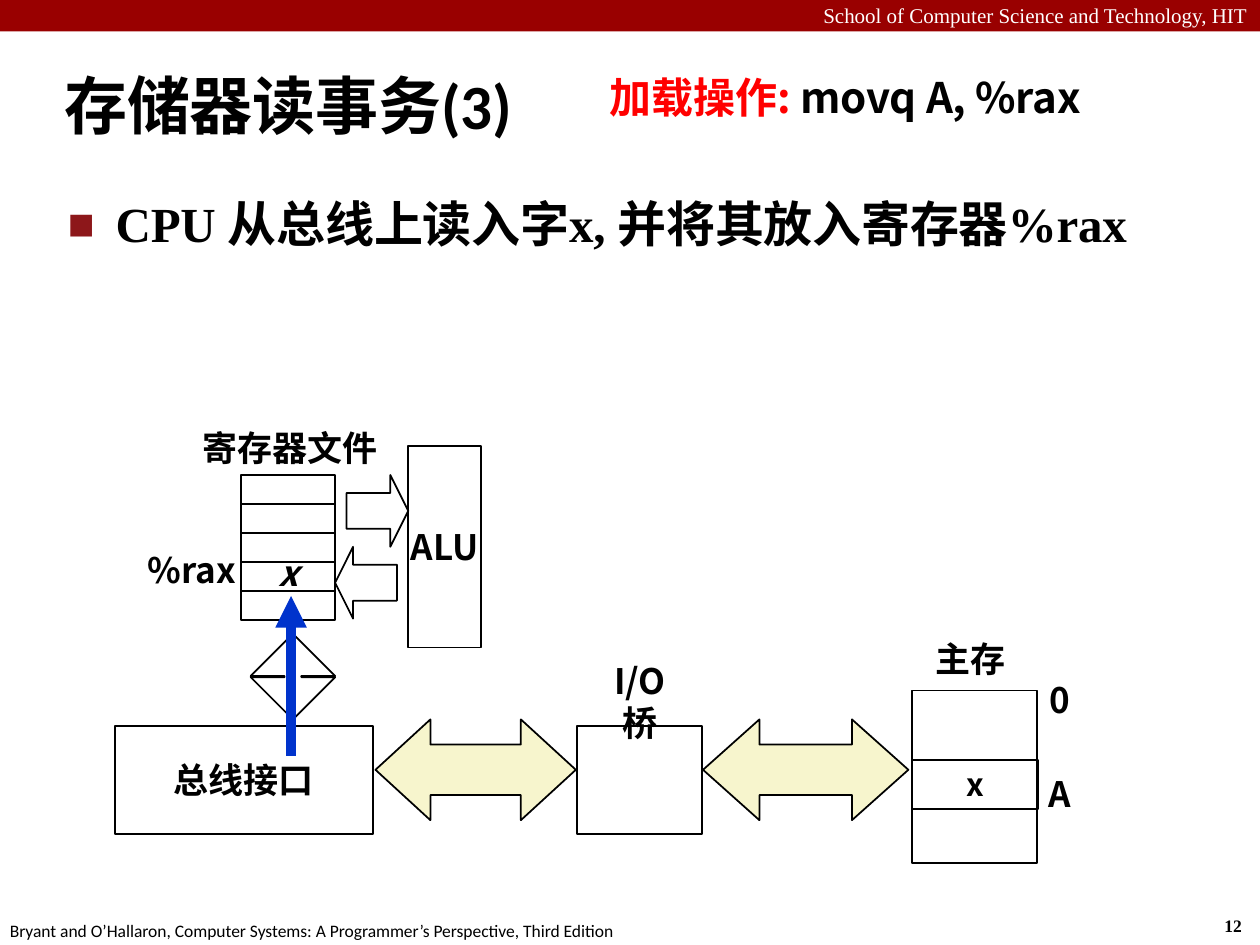
from dataclasses import dataclass

from lxml import etree
from pptx import Presentation
from pptx.dml.color import RGBColor
from pptx.enum.shapes import MSO_CONNECTOR, MSO_SHAPE
from pptx.enum.text import MSO_ANCHOR, MSO_AUTO_SIZE, PP_ALIGN
from pptx.oxml.ns import qn
from pptx.util import Inches, Pt

RECT = MSO_SHAPE.RECTANGLE
RIGHT_ARROW, LEFT_ARROW = MSO_SHAPE.RIGHT_ARROW, MSO_SHAPE.LEFT_ARROW
BUS_ARROW, UP_DOWN_ARROW = MSO_SHAPE.LEFT_RIGHT_ARROW, MSO_SHAPE.UP_DOWN_ARROW
LEFT, CENTER, RIGHT = PP_ALIGN.LEFT, PP_ALIGN.CENTER, PP_ALIGN.RIGHT
TOP, MIDDLE = MSO_ANCHOR.TOP, MSO_ANCHOR.MIDDLE
STRAIGHT = MSO_CONNECTOR.STRAIGHT


@dataclass(frozen=True)
class Theme:
    """Colours, fonts and type sizes of the slide."""
    ink: str = "000000"
    paper: str = "FFFFFF"
    banner: str = "990000"
    accent: str = "FF0000"
    bullet: str = "8D171A"
    bus: str = "F7F5CD"
    data_path: str = "0033CC"
    cjk: str = "Noto Sans CJK SC"
    sans: str = "Calibri"
    serif: str = "Times New Roman"
    title: int = 36
    body: int = 28
    operation: int = 24
    label: int = 20
    cell: int = 18
    banner_size: int = 12
    footer: int = 10


THEME = Theme()


def box(left, top, width, height):
    """Convert a box in inches to lengths."""
    return [Inches(value) for value in (left, top, width, height)]


def style_run(run, size, font=THEME.cjk, color=THEME.ink, bold=True, italic=None, tight=False):
    """Format one run, with the Chinese font for its East Asian text."""
    run.font.size = Pt(size)
    run.font.name = font
    run.font.bold = bold
    run.font.italic = italic
    run.font.color.rgb = RGBColor.from_string(color)
    properties = run.font._element
    east_asian = etree.Element(qn("a:ea"), typeface=THEME.cjk)
    properties.find(qn("a:latin")).addnext(east_asian)
    if tight:
        properties.set("spc", "-10")


def write(frame, text, size, align=CENTER, anchor=MIDDLE, wrap=False, **style):
    """Write one paragraph into a text frame."""
    frame.word_wrap = wrap
    frame.vertical_anchor = anchor
    frame.text = text
    paragraph = frame.paragraphs[0]
    paragraph.alignment = align
    style_run(paragraph.runs[0], size, **style)
    return paragraph


def add_text(slide, area, text, size, **style):
    """Add a text box and return its paragraph."""
    textbox = slide.shapes.add_textbox(*box(*area))
    return write(textbox.text_frame, text, size, **style)


def add_block(slide, kind, area, fill=None, outlined=True, adjustments=()):
    """Add a preset shape with a flat fill and a thin outline."""
    block = slide.shapes.add_shape(kind, *box(*area))
    block.shadow.inherit = False
    if fill:
        block.fill.solid()
        block.fill.fore_color.rgb = RGBColor.from_string(fill)
    else:
        block.fill.background()
    if outlined:
        block.line.color.rgb = RGBColor.from_string(THEME.ink)
        block.line.width = Pt(1)
    else:
        block.line.fill.background()
    for index, value in enumerate(adjustments):
        block.adjustments[index] = value
    return block


def add_data_path(slide, x, tip, start):
    """Add the thick vertical arrow that carries the word to its register."""
    path = slide.shapes.add_connector(STRAIGHT, Inches(x), Inches(tip), Inches(x), Inches(start))
    path.line.color.rgb = RGBColor.from_string(THEME.data_path)
    path.line.width = Pt(6)
    etree.SubElement(path.line._get_or_add_ln(), qn("a:headEnd"), type="triangle")
    etree.SubElement(path._element.spPr, qn("a:effectLst"))


def add_bullet(paragraph):
    """Give a paragraph a square bullet and a hanging indent."""
    properties = paragraph._p.get_or_add_pPr()
    properties.set("marL", str(Inches(0.39)))
    properties.set("indent", str(Inches(-0.38)))
    color = etree.SubElement(properties, qn("a:buClr"))
    etree.SubElement(color, qn("a:srgbClr"), val=THEME.bullet)
    etree.SubElement(properties, qn("a:buSzPct"), val="58000")
    etree.SubElement(properties, qn("a:buFont"), typeface=THEME.sans)
    etree.SubElement(properties, qn("a:buChar"), char="■")


def add_page_frame(slide):
    """Add the banner, the page number and the source line."""
    add_block(slide, RECT, (0, 0, 10, 0.25), fill=THEME.banner, outlined=False)
    add_text(slide, (0, -0.03, 10, 0.3), "School of Computer Science and Technology, HIT",
             THEME.banner_size, align=RIGHT, anchor=TOP, wrap=True,
             font=THEME.serif, color=THEME.paper, bold=False)
    add_text(slide, (9.62, 7.21, 0.37, 0.27), "12", THEME.footer,
             align=LEFT, anchor=TOP, font=THEME.serif)
    add_text(slide, (-0.02, 7.25, 5.08, 0.27),
             "Bryant and O’Hallaron, Computer Systems: A Programmer’s Perspective, Third Edition",
             THEME.footer, align=LEFT, anchor=TOP, font=THEME.sans, bold=False)


def add_heading(slide):
    """Add the title, the load operation and the explanation."""
    title = slide.shapes.title
    title.left, title.top, title.width, title.height = box(0.41, 0.41, 9.51, 0.83)
    title.text_frame.auto_size = MSO_AUTO_SIZE.NONE
    write(title.text_frame, "存储器读事务(3)", THEME.title, align=LEFT, wrap=True,
          font=THEME.sans, tight=True)

    explanation = add_text(slide, (0.43, 1.49, 9.4, 5.76),
                           "CPU 从总线上读入字x, 并将其放入寄存器%rax", THEME.body,
                           align=LEFT, anchor=TOP, wrap=True, font=THEME.serif, tight=True)
    add_bullet(explanation)

    operation = slide.shapes.add_textbox(*box(4.84, 0.57, 4.42, 0.37)).text_frame
    operation.margin_left = operation.margin_right = 0
    operation.margin_top = operation.margin_bottom = 0
    paragraph = write(operation, "加载操作: ", THEME.operation, align=LEFT, anchor=TOP,
                      wrap=True, color=THEME.accent, tight=True)
    instruction = paragraph.add_run()
    instruction.text = "movq A, %rax"
    style_run(instruction, THEME.operation, tight=True)


def add_memory_side(slide):
    """Add main memory, the I/O bridge and the two buses."""
    add_block(slide, RECT, (7.24, 5.48, 0.99, 1.37))
    add_block(slide, BUS_ARROW, (5.58, 5.71, 1.63, 0.8), fill=THEME.bus, adjustments=(0.5, 0.56))
    add_block(slide, RECT, (4.58, 5.76, 0.99, 0.86))
    add_block(slide, BUS_ARROW, (2.98, 5.71, 1.59, 0.8), fill=THEME.bus, adjustments=(0.5, 0.545))
    word = add_block(slide, RECT, (7.24, 6.03, 1, 0.39))
    write(word.text_frame, "x", THEME.cell)


def add_processor(slide):
    """Add the register file, the ALU and the bus interface."""
    for row in range(5):
        add_block(slide, RECT, (1.91, 3.77 + 0.23 * row, 0.75, 0.23))
    add_block(slide, RIGHT_ARROW, (2.75, 3.77, 0.49, 0.57), adjustments=(0.5, 0.29))
    add_block(slide, LEFT_ARROW, (2.66, 4.34, 0.49, 0.57), adjustments=(0.5, 0.29))
    alu = add_block(slide, RECT, (3.24, 3.54, 0.58, 1.6))
    write(alu.text_frame, "ALU", THEME.label)
    add_block(slide, UP_DOWN_ARROW, (1.99, 5.03, 0.67, 0.68), adjustments=(0.5, 0.2))
    interface = add_block(slide, RECT, (0.91, 5.76, 2.05, 0.86), fill=THEME.paper)
    write(interface.text_frame, "总线接口", THEME.label)


def add_labels(slide):
    """Add the names, addresses and register value around the diagram."""
    for text, area, style in (
        ("寄存器文件", (1.5, 3.25, 1.61, 0.6), {}),
        ("0", (8.23, 5.25, 0.38, 0.6), {"align": LEFT}),
        ("A", (8.22, 6, 0.41, 0.6), {"align": LEFT}),
        ("主存", (7.32, 4.93, 0.77, 0.6), {}),
        ("I/O桥", (4.71, 5.27, 0.74, 0.6), {"wrap": True}),
        ("%rax", (1.07, 4.22, 0.91, 0.6), {}),
        ("x", (2.1, 4.32, 0.37, 0.44), {"italic": True}),
    ):
        add_text(slide, area, text, THEME.label, **style)


def main():
    """Build the slide and save it."""
    deck = Presentation()
    deck.slide_width, deck.slide_height = Inches(10), Inches(7.5)
    slide = deck.slides.add_slide(deck.slide_layouts[5])
    add_page_frame(slide)
    add_heading(slide)
    add_memory_side(slide)
    add_processor(slide)
    add_labels(slide)
    add_data_path(slide, 2.31, tip=4.73, start=6)
    deck.save("out.pptx")


if __name__ == "__main__":
    main()
